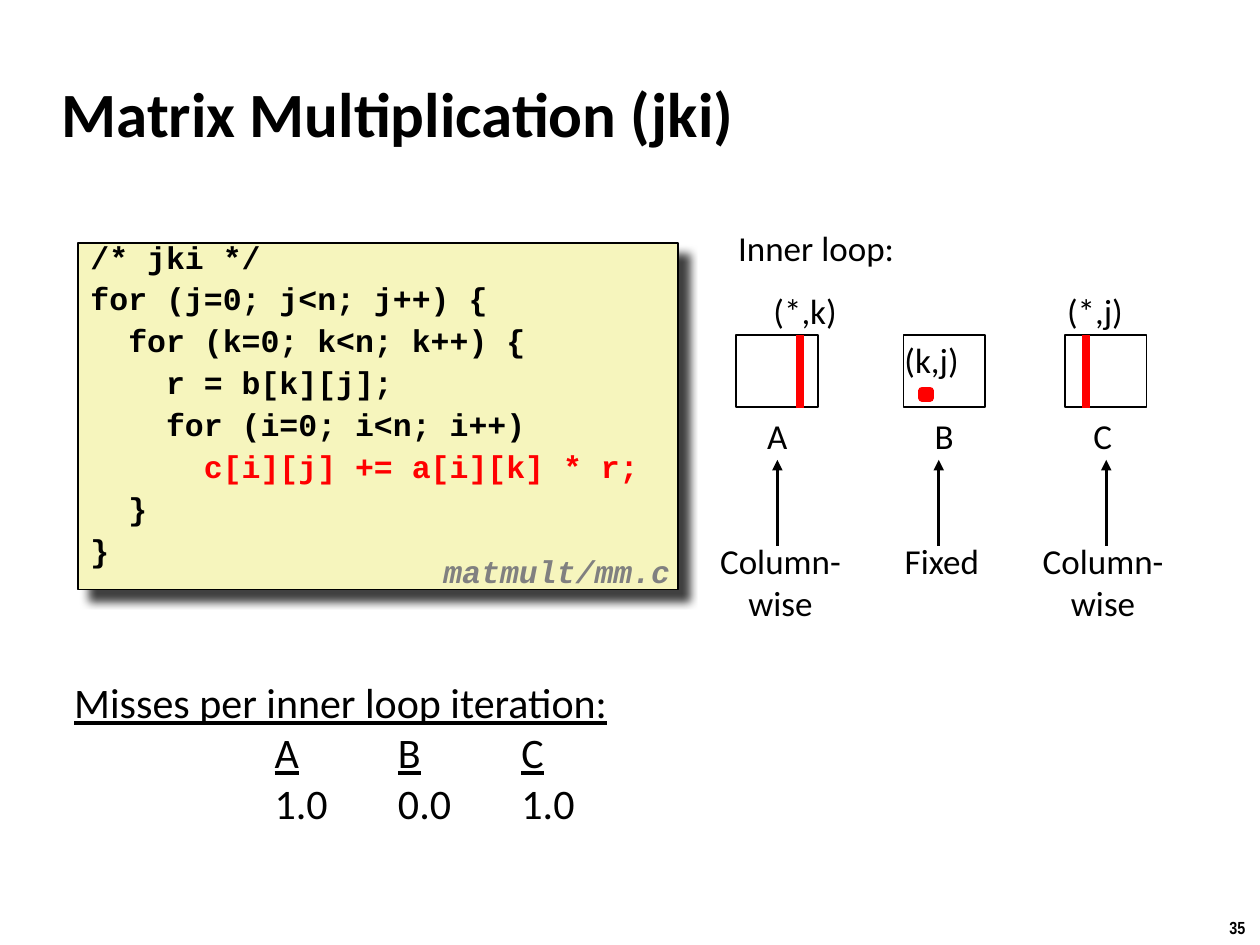
from lxml.etree import SubElement as Sub
from pptx import Presentation
from pptx.dml.color import RGBColor
from pptx.enum.shapes import MSO_CONNECTOR as Conn, MSO_SHAPE as Geo
from pptx.enum.text import MSO_ANCHOR as Anchor, PP_ALIGN as Align
from pptx.oxml.ns import qn
from pptx.util import Inches, Pt

BLACK, WHITE, RED, GRAY, CREAM = "000000", "FFFFFF", "FF0000", "808080", "F6F5BD"
CODE = [
    "/* jki */",
    "for (j=0; j<n; j++) {",
    "  for (k=0; k<n; k++) {",
    "    r = b[k][j];",
    "    for (i=0; i<n; i++)",
    "      c[i][j] += a[i][k] * r;",
    "  }",
    "}",
]


def color(code):
    return RGBColor.from_string(code)


class Deck:
    """Holds the text style and the current slide, and draws each kind of element."""

    font = "Calibri"
    mono = "Courier New"

    def __init__(self, prs):
        self.slide = prs.slides.add_slide(prs.slide_layouts[6])
        self.shapes = self.slide.shapes

    def style(self, par, size, tint=BLACK, font=None, bold=False, italic=False):
        for run in par.runs:
            face = run.font
            face.name, face.size = font or self.font, Pt(size)
            face.bold, face.italic = bold, italic
            face.color.rgb = color(tint)

    def text(self, x, y, w, h, words, size=20, wrap=False, align=Align.LEFT, **look):
        box = self.shapes.add_textbox(Inches(x), Inches(y), Inches(w), Inches(h))
        frame = box.text_frame
        frame.word_wrap = wrap
        frame.text = words
        for par in frame.paragraphs:
            par.alignment = align
            self.style(par, size, **look)
        return frame

    def rect(self, x, y, w, h, fill=WHITE, line=BLACK, width=1):
        box = self.shapes.add_shape(
            Geo.RECTANGLE, Inches(x), Inches(y), Inches(w), Inches(h))
        box.shadow.inherit = False
        box.fill.solid()
        box.fill.fore_color.rgb = color(fill)
        box.line.color.rgb = color(line)
        box.line.width = Pt(width)
        return box

    def line(self, x, start, end, tint=BLACK, width=2, arrow=True):
        link = self.shapes.add_connector(
            Conn.STRAIGHT, Inches(x), Inches(start), Inches(x), Inches(end))
        link.line.color.rgb = color(tint)
        link.line.width = Pt(width)
        if arrow:
            Sub(link.line._get_or_add_ln(), qn("a:tailEnd"), type="triangle")
        Sub(link._element.spPr, qn("a:effectLst"))

    def shade(self, box):
        effect = box._element.spPr.find(qn("a:effectLst"))
        drop = Sub(effect, qn("a:outerShdw"), blurRad=str(Pt(5)),
                   dist=str(Pt(8.5)), dir="2700000", algn="tl", rotWithShape="0")
        tint = Sub(drop, qn("a:srgbClr"), val=BLACK)
        Sub(tint, qn("a:alpha"), val="75000")

    def code(self, x, y, w, h, lines, hot):
        box = self.rect(x, y, w, h, fill=CREAM)
        self.shade(box)
        frame = box.text_frame
        frame.vertical_anchor = Anchor.TOP
        frame.text = "\n".join(lines)
        for row, par in enumerate(frame.paragraphs):
            par.alignment = Align.LEFT
            par.line_spacing = 0.65
            par.space_before = Pt(9.9)
            self.style(par, 18, RED if row == hot else BLACK, self.mono, True)

    def tabs(self, par, stops):
        stop_list = Sub(par._p.get_or_add_pPr(), qn("a:tabLst"))
        for stop in stops:
            Sub(stop_list, qn("a:tab"), pos=str(Inches(stop)), algn="l")

    def misses(self, x, y, w, h, title, names, rates):
        rows = [title, "", "\t\t" + "\t".join(rates)]
        frame = self.text(x, y, w, h, "\n".join(rows), 24, wrap=True)
        head, cols, vals = frame.paragraphs
        head.runs[0].font.underline = True
        for index, name in enumerate(names):
            cols.add_run().text = "\t" if index else "\t\t"
            run = cols.add_run()
            run.text = name
            run.font.underline = True
        self.style(cols, 24)
        for par in (cols, vals):
            self.tabs(par, [0.61 + 0.98 * step for step in range(4)])


def main():
    prs = Presentation()
    prs.slide_width, prs.slide_height = Inches(10), Inches(7.5)
    deck = Deck(prs)

    deck.text(9.66, 7.23, 0.34, 0.27, "35", 10, font="Arial Narrow", bold=True)
    title = deck.text(0.39, 0.48, 8.3, 0.83, "Matrix Multiplication (jki)", 36,
                      wrap=True, bold=True)
    title.vertical_anchor = Anchor.MIDDLE
    deck.code(0.62, 1.93, 4.76, 2.75, CODE, hot=5)
    deck.text(5.76, 1.75, 1.45, 0.43, "Inner loop:")

    for name, left, mid, shaft, label, spot, wide in (
        ("A", 5.84, 6.17, 6.17, "Column-\nwise", 5.61, 1.17),
        ("B", 7.17, 7.5, 7.45, "Fixed", 7.08, 0.79),
        ("C", 8.45, 8.76, 8.78, "Column-\nwise", 8.17, 1.17),
    ):
        deck.rect(left, 2.66, 0.65, 0.57)
        deck.text(mid - 0.18, 3.24, 0.36, 0.43, name)
        high = 0.43 + 0.34 * label.count("\n")
        deck.text(spot, 4.23, wide, high, label, align=Align.CENTER)
        deck.line(shaft, 4.33, 3.65)

    deck.rect(7.32, 3.1, 0.06, 0.06, RED, RED, 4.5)
    for x in (6.35, 8.62):
        deck.line(x, 3.24, 2.66, RED, 4.5, arrow=False)
    for words, x, y, w in (("(*,k)", 6.04, 2.25, 0.71),
                           ("(k,j)", 7.08, 2.64, 0.63),
                           ("(*,j)", 8.37, 2.25, 0.65)):
        deck.text(x, y, w, 0.43, words)

    deck.misses(0.49, 5.32, 6.01, 1.34, "Misses per inner loop iteration:",
                "ABC", ("1.0", "0.0", "1.0"))
    source = deck.text(3.42, 4.36, 2.08, 0.39, "matmult/mm.c", 18, tint=GRAY,
                       font=deck.mono, bold=True, italic=True)
    source.paragraphs[0].line_spacing = 0.94
    prs.save("out.pptx")


if __name__ == "__main__":
    main()
